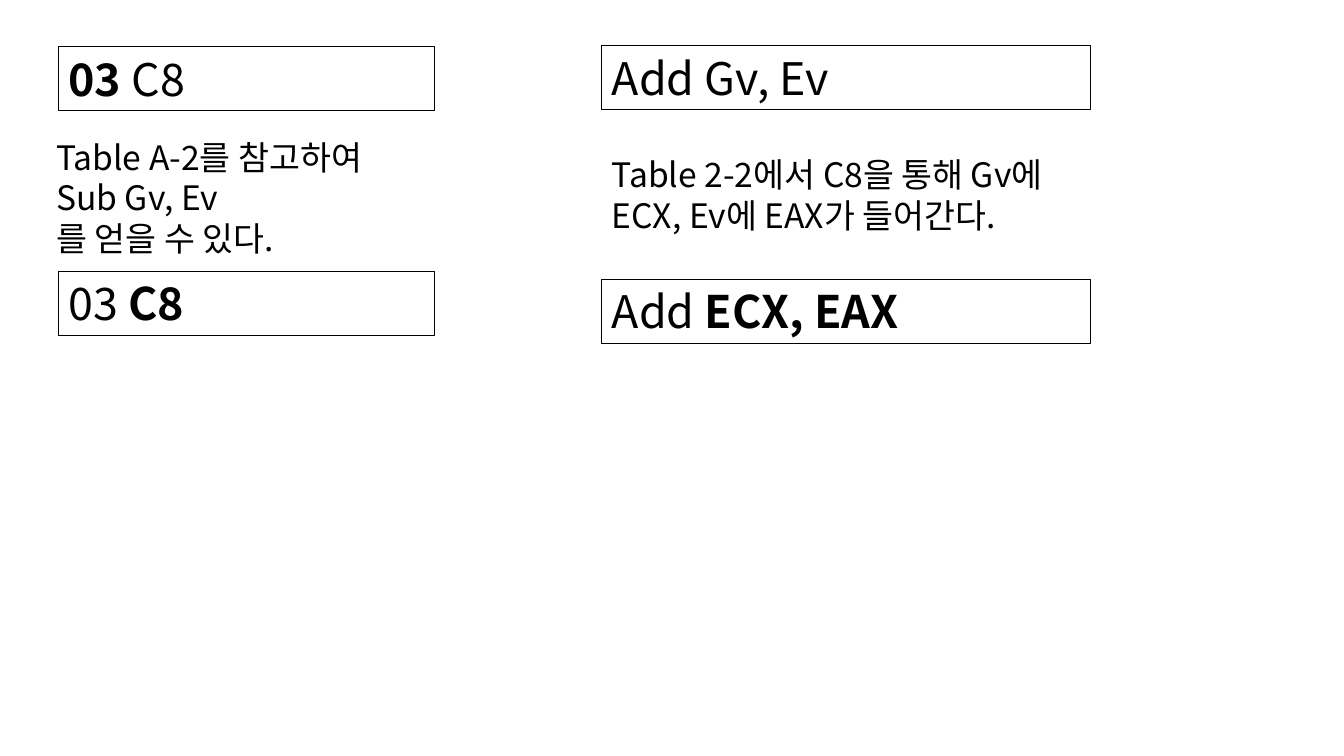
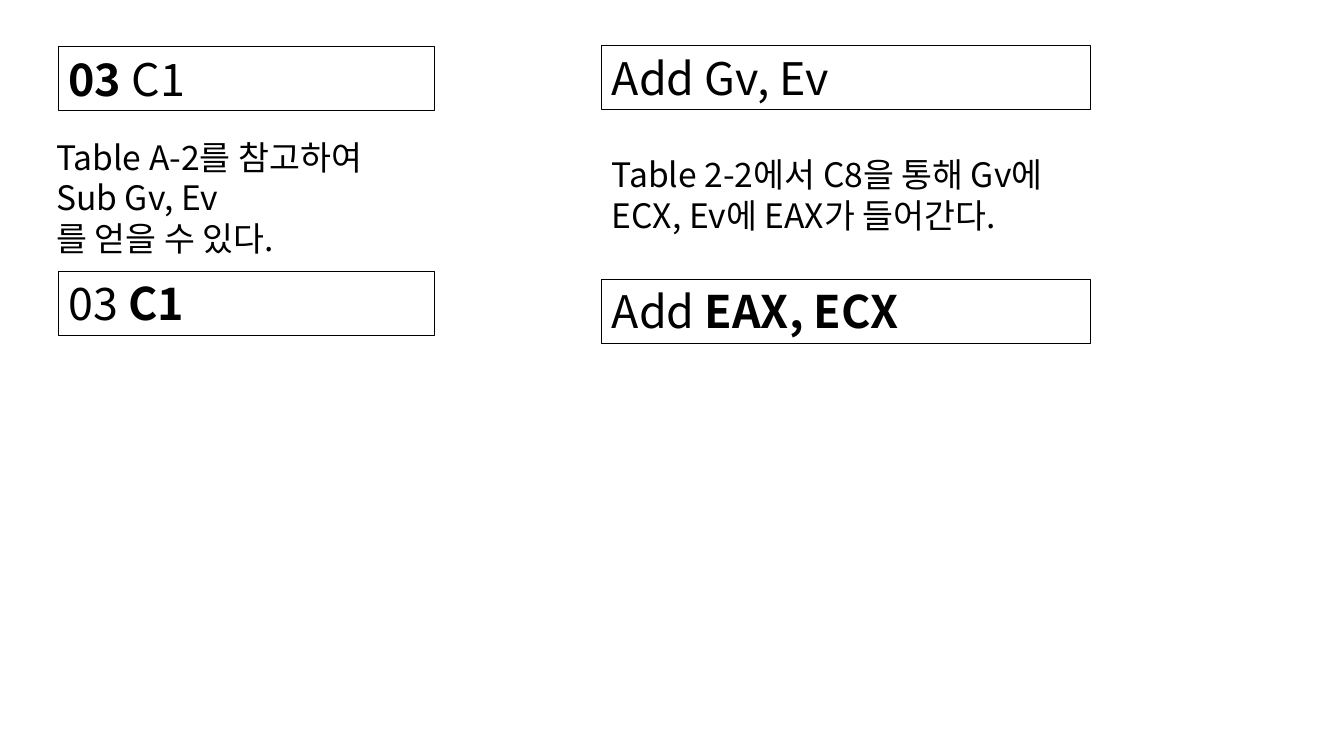
"""Two slides that decode an ADD opcode and its operand byte step by step."""
import pptx
import pptx.util
import pptx.dml.color
import pptx.enum.text
import pptx.oxml.ns
import lxml.etree

Inches = pptx.util.Inches
BLACK = pptx.dml.color.RGBColor(0x00, 0x00, 0x00)
FONT = "Noto Sans CJK KR"
CODE_SIZE, NOTE_SIZE = 32, 24
BYTES_LEFT, BYTES_WIDTH = 0.58, 3.73
ASM_LEFT, ASM_WIDTH = 5.97, 4.85
CODE_HEIGHT = 0.64


def add_text(slide, left, top, width, height, size, paragraphs):
    box = slide.shapes.add_textbox(
        Inches(left), Inches(top), Inches(width), Inches(height))
    frame = box.text_frame
    frame.word_wrap = True
    frame.auto_size = pptx.enum.text.MSO_AUTO_SIZE.SHAPE_TO_FIT_TEXT
    for index, pieces in enumerate(paragraphs):
        paragraph = frame.add_paragraph() if index else frame.paragraphs[0]
        for text, bold in pieces:
            run = paragraph.add_run()
            run.text = text
            run.font.size = pptx.util.Pt(size)
            run.font.bold = bold
            run.font.name = FONT
            run.font.color.rgb = BLACK
            east_asian = lxml.etree.SubElement(
                run._r.get_or_add_rPr(), pptx.oxml.ns.qn("a:ea"))
            east_asian.set("typeface", FONT)
    return box


def add_code(slide, left, top, width, pieces):
    box = add_text(slide, left, top, width, CODE_HEIGHT, CODE_SIZE, [pieces])
    box.line.color.rgb = BLACK
    box.line.width = pptx.util.Pt(0.75)


deck = pptx.Presentation()
deck.slide_width, deck.slide_height = Inches(13.33), Inches(7.5)
blank_layout = deck.slide_layouts[6]

opcode_note = [[(line, False)] for line in
               ("Table A-2를 참고하여 ", "Sub Gv, Ev", "를 얻을 수 있다.")]
operand_note = [[("Table 2-2에서 C8을 통해 Gv에 ECX, Ev에 EAX가 들어간다.", False)]]

for operand_byte, registers in (("C8", "ECX, EAX"), ("C1", "EAX, ECX")):
    slide = deck.slides.add_slide(blank_layout)
    add_code(slide, BYTES_LEFT, 0.46, BYTES_WIDTH,
             [("03 ", True), (operand_byte, False)])
    add_code(slide, ASM_LEFT, 0.45, ASM_WIDTH, [("Add Gv, Ev", False)])
    add_code(slide, ASM_LEFT, 2.77, ASM_WIDTH,
             [("Add ", False), (registers, True)])
    add_text(slide, 0.46, 1.31, 4.46, 1.31, NOTE_SIZE, opcode_note)
    add_code(slide, BYTES_LEFT, 2.69, BYTES_WIDTH,
             [("03 ", False), (operand_byte, True)])
    add_text(slide, ASM_LEFT, 1.48, ASM_WIDTH, 0.91, NOTE_SIZE, operand_note)

deck.save("out.pptx")
